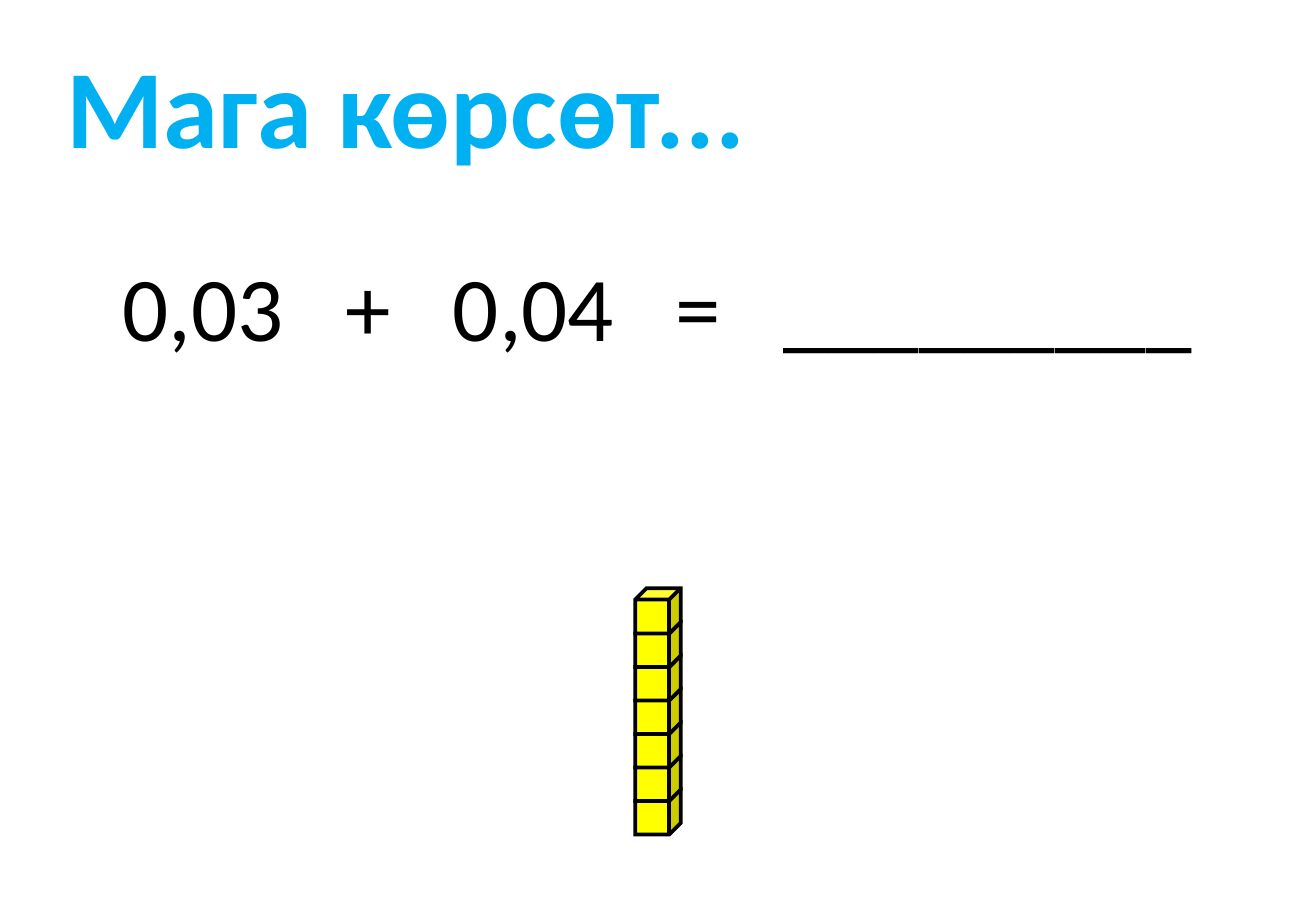
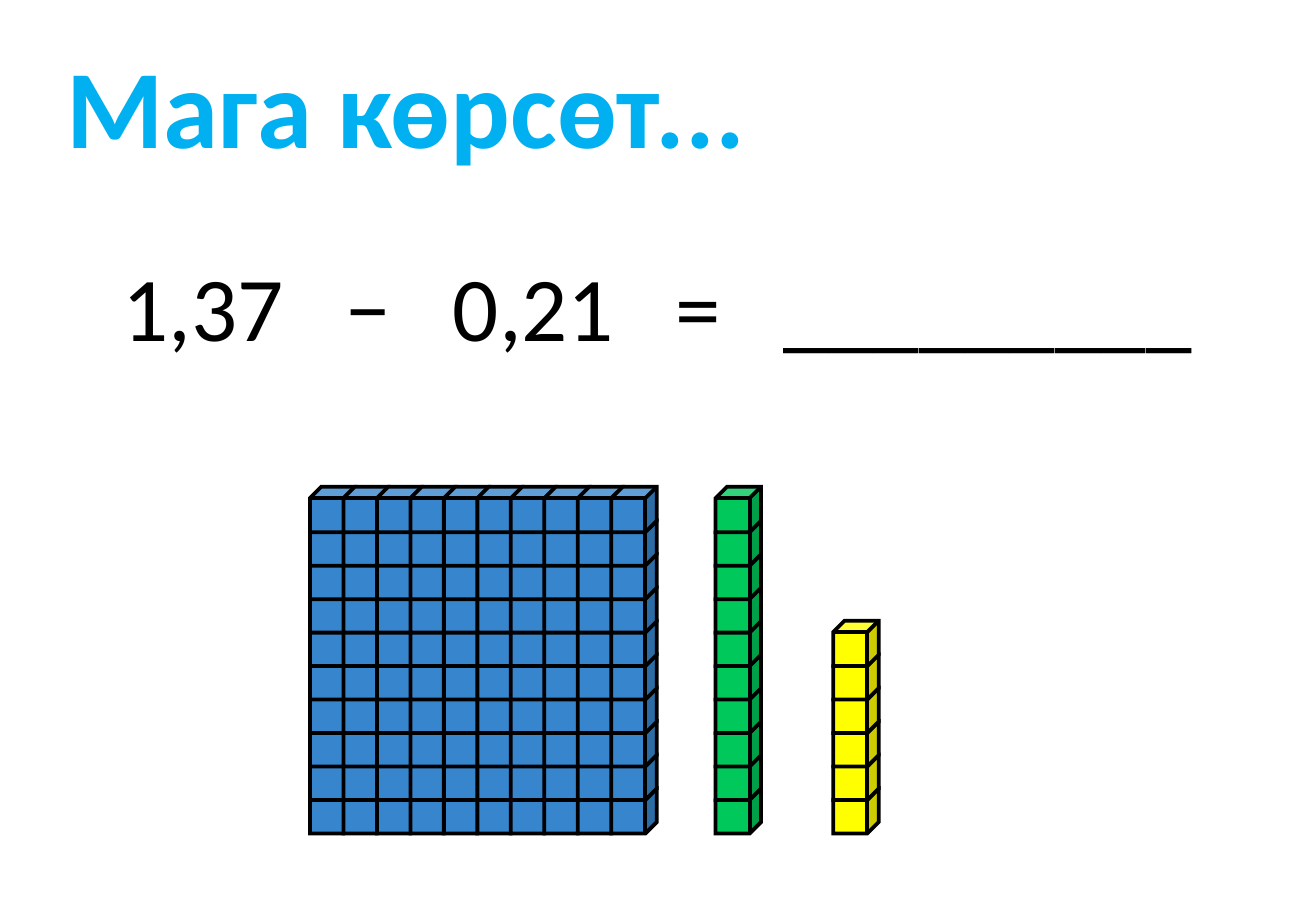
from dataclasses import dataclass

from lxml.etree import SubElement
from pptx import Presentation
from pptx.dml.color import RGBColor
from pptx.enum.shapes import MSO_SHAPE as Preset
from pptx.enum.text import MSO_AUTO_SIZE as AutoSize
from pptx.oxml.ns import qn
from pptx.presentation import Presentation as Deck
from pptx.shapes.group import GroupShape
from pptx.slide import Slide
from pptx.util import Cm, Pt


@dataclass(frozen=True)
class Theme:
    font: str = "Calibri"
    title_color: str = "00B0F0"
    ink: str = "000000"
    ones: str = "3786CD"
    tenths: str = "00C85A"
    hundredths: str = "FFFF00"
    title_size: int = 66
    equation_size: int = 54
    outline: float = 2.25


@dataclass(frozen=True)
class Label:
    left: float
    top: float
    width: float
    height: float
    inset: float
    size: int
    color: str
    bold: bool = False
    tab_stops: tuple[float, ...] = ()


@dataclass(frozen=True)
class CubeStack:
    left: float
    base: float
    columns: int
    rows: int
    color: str


@dataclass(frozen=True)
class Exercise:
    equation: tuple[str, ...]
    stacks: tuple[CubeStack, ...]


THEME = Theme()
CUBE_SIZE = 0.95
CUBE_PITCH = 0.7
TITLE_TEXT = "Мага көрсөт..."
TITLE = Label(0.61, 0.66, 19.15, 3.07, 0.78,
              THEME.title_size, THEME.title_color, bold=True)
EQUATION = Label(2.21, 5.11, 23.11, 2.57, 0.35, THEME.equation_size,
                 THEME.ink, tab_stops=(4.67, 6.91, 11.57, 13.81))
BLANK_LINE = "_" * 9

EXERCISES = (
    Exercise(
        ("0,03", "+", "0,04", "=", BLANK_LINE),
        (CubeStack(13.28, 17.45, 1, 7, THEME.hundredths),),
    ),
    Exercise(
        ("1,37", "−", "0,21", "=", BLANK_LINE),
        (
            CubeStack(17.42, 17.43, 1, 6, THEME.hundredths),
            CubeStack(6.48, 17.43, 10, 10, THEME.ones),
            CubeStack(14.96, 17.43, 1, 10, THEME.tenths),
        ),
    ),
)


def add_label(slide: Slide, label: Label, parts: tuple[str, ...]) -> None:
    shape = slide.shapes.add_textbox(
        Cm(label.left), Cm(label.top), Cm(label.width), Cm(label.height))
    frame = shape.text_frame
    frame.word_wrap = True
    frame.auto_size = AutoSize.SHAPE_TO_FIT_TEXT
    frame.margin_left, frame.margin_right = Cm(label.inset), Cm(0)
    paragraph = frame.paragraphs[0]
    if label.tab_stops:
        properties = paragraph._p.get_or_add_pPr()
        tab_list = SubElement(properties, qn("a:tabLst"))
        for stop in label.tab_stops:
            SubElement(tab_list, qn("a:tab"), pos=str(Cm(stop)), algn="l")
    for index, part in enumerate(parts):
        run = paragraph.add_run()
        run.text = f"\t{part}" if index else part
        run.font.name = THEME.font
        run.font.size = Pt(label.size)
        run.font.bold = label.bold
        run.font.color.rgb = RGBColor.from_string(label.color)


def add_cube(group: GroupShape, left: float, top: float, color: str) -> None:
    shape = group.shapes.add_shape(
        Preset.CUBE, Cm(left), Cm(top), Cm(CUBE_SIZE), Cm(CUBE_SIZE))
    shape.shadow.inherit = False
    shape.fill.solid()
    shape.fill.fore_color.rgb = RGBColor.from_string(color)
    shape.line.color.rgb = RGBColor.from_string(THEME.ink)
    shape.line.width = Pt(THEME.outline)
    outline = shape._element.spPr.find(qn("a:ln"))
    SubElement(outline, qn("a:miter"), lim="800000")


def add_stack(slide: Slide, stack: CubeStack) -> None:
    group = slide.shapes.add_group_shape()
    bottom_top = stack.base - CUBE_SIZE
    for column in range(stack.columns):
        for row in range(stack.rows):
            add_cube(group, stack.left + column * CUBE_PITCH,
                     bottom_top - row * CUBE_PITCH, stack.color)


def add_exercise(presentation: Deck, exercise: Exercise) -> None:
    slide = presentation.slides.add_slide(presentation.slide_layouts[6])
    add_label(slide, EQUATION, exercise.equation)
    for stack in exercise.stacks:
        add_stack(slide, stack)
    add_label(slide, TITLE, (TITLE_TEXT,))


def main() -> None:
    presentation = Presentation()
    presentation.slide_width = Cm(27.51)
    presentation.slide_height = Cm(19.05)
    for exercise in EXERCISES:
        add_exercise(presentation, exercise)
    presentation.save("out.pptx")


if __name__ == "__main__":
    main()
